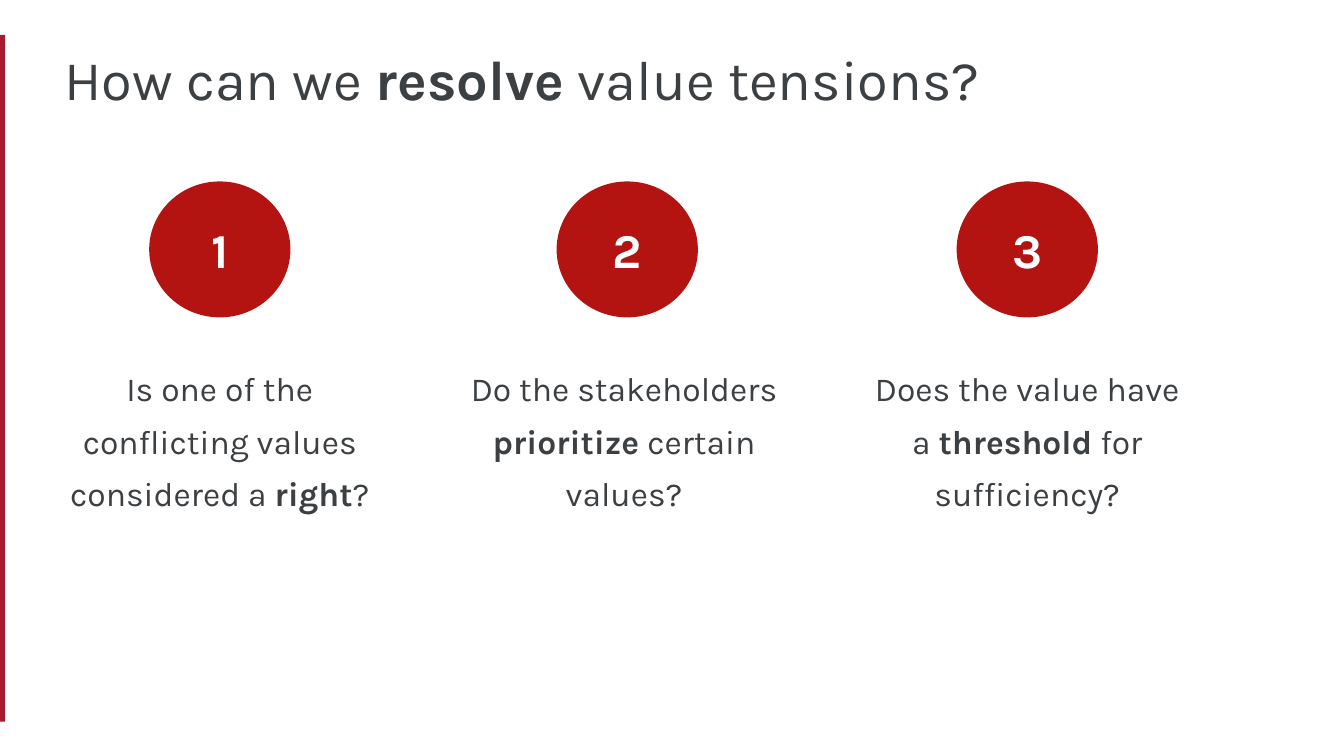
from dataclasses import dataclass

from pptx import Presentation
from pptx.dml.color import RGBColor
from pptx.enum.shapes import MSO_SHAPE
from pptx.enum.text import MSO_ANCHOR, PP_ALIGN
from pptx.shapes.base import BaseShape
from pptx.slide import Slide
from pptx.text.text import TextFrame
from pptx.util import Cm, Pt

FONT = "Karla"
CRIMSON = RGBColor(0xA5, 0x1C, 0x30)
RED = RGBColor(0xB3, 0x14, 0x12)
CHARCOAL = RGBColor(0x3C, 0x40, 0x43)
WHITE = RGBColor(0xFF, 0xFF, 0xFF)

QUESTION_WIDTH = 6.53
CIRCLE_WIDTH = 2.67


@dataclass(frozen=True)
class Phrase:
    """A sentence with one bold part in the middle."""
    before: str
    bold: str
    after: str


@dataclass(frozen=True)
class Question:
    circle_left: float
    text_left: float
    phrase: Phrase


TITLE = Phrase("How can we ", "resolve", " value tensions?")
QUESTIONS = [
    Question(2.82, 0.89, Phrase("Is one of the conflicting values considered a ", "right", "?")),
    Question(10.52, 8.53, Phrase("Do the stakeholders ", "prioritize", " certain values?")),
    Question(18.08, 16.15, Phrase("Does the value have a ", "threshold", " for sufficiency?")),
]


def set_margins(text_frame: TextFrame) -> None:
    text_frame.word_wrap = True
    text_frame.margin_left = text_frame.margin_right = Cm(0.25)
    text_frame.margin_top = text_frame.margin_bottom = Cm(0.25)


def add_filled_shape(slide: Slide, kind: MSO_SHAPE, left: float, top: float,
                     width: float, height: float, color: RGBColor) -> BaseShape:
    shape = slide.shapes.add_shape(kind, Cm(left), Cm(top), Cm(width), Cm(height))
    shape.shadow.inherit = False
    shape.fill.solid()
    shape.fill.fore_color.rgb = color
    shape.line.fill.background()
    return shape


def add_phrase(slide: Slide, phrase: Phrase, left: float, top: float, width: float,
               height: float, size: int, spacing: float, alignment: PP_ALIGN) -> None:
    box = slide.shapes.add_textbox(Cm(left), Cm(top), Cm(width), Cm(height))
    set_margins(box.text_frame)
    paragraph = box.text_frame.paragraphs[0]
    paragraph.alignment = alignment
    paragraph.line_spacing = spacing
    for text, bold in ((phrase.before, False), (phrase.bold, True), (phrase.after, False)):
        run = paragraph.add_run()
        run.text = text
        run.font.name = FONT
        run.font.size = Pt(size)
        run.font.bold = bold
        run.font.color.rgb = CHARCOAL


def add_number_circle(slide: Slide, number: int, left: float) -> None:
    circle = add_filled_shape(slide, MSO_SHAPE.FLOWCHART_CONNECTOR,
                              left, 3.43, CIRCLE_WIDTH, 2.57, RED)
    text_frame = circle.text_frame
    set_margins(text_frame)
    text_frame.vertical_anchor = MSO_ANCHOR.MIDDLE
    text_frame.text = str(number)
    paragraph = text_frame.paragraphs[0]
    paragraph.alignment = PP_ALIGN.CENTER
    font = paragraph.runs[0].font
    font.name = FONT
    font.size = Pt(26)
    font.bold = True
    font.color.rgb = WHITE


def main() -> None:
    presentation = Presentation()
    presentation.slide_width = Cm(25.4)
    presentation.slide_height = Cm(14.29)
    slide = presentation.slides.add_slide(presentation.slide_layouts[6])

    add_filled_shape(slide, MSO_SHAPE.RECTANGLE, -0.05, 0.66, 0.15, 12.98, CRIMSON)
    add_phrase(slide, TITLE, 0.97, 0.74, 21.67, 1.5, 30, 0.9, PP_ALIGN.LEFT)
    for number, question in enumerate(QUESTIONS, start=1):
        add_number_circle(slide, number, question.circle_left)
        add_phrase(slide, question.phrase, question.text_left, 6.48,
                   QUESTION_WIDTH, 5.61, 18, 1.3, PP_ALIGN.CENTER)

    presentation.save("out.pptx")


if __name__ == "__main__":
    main()
